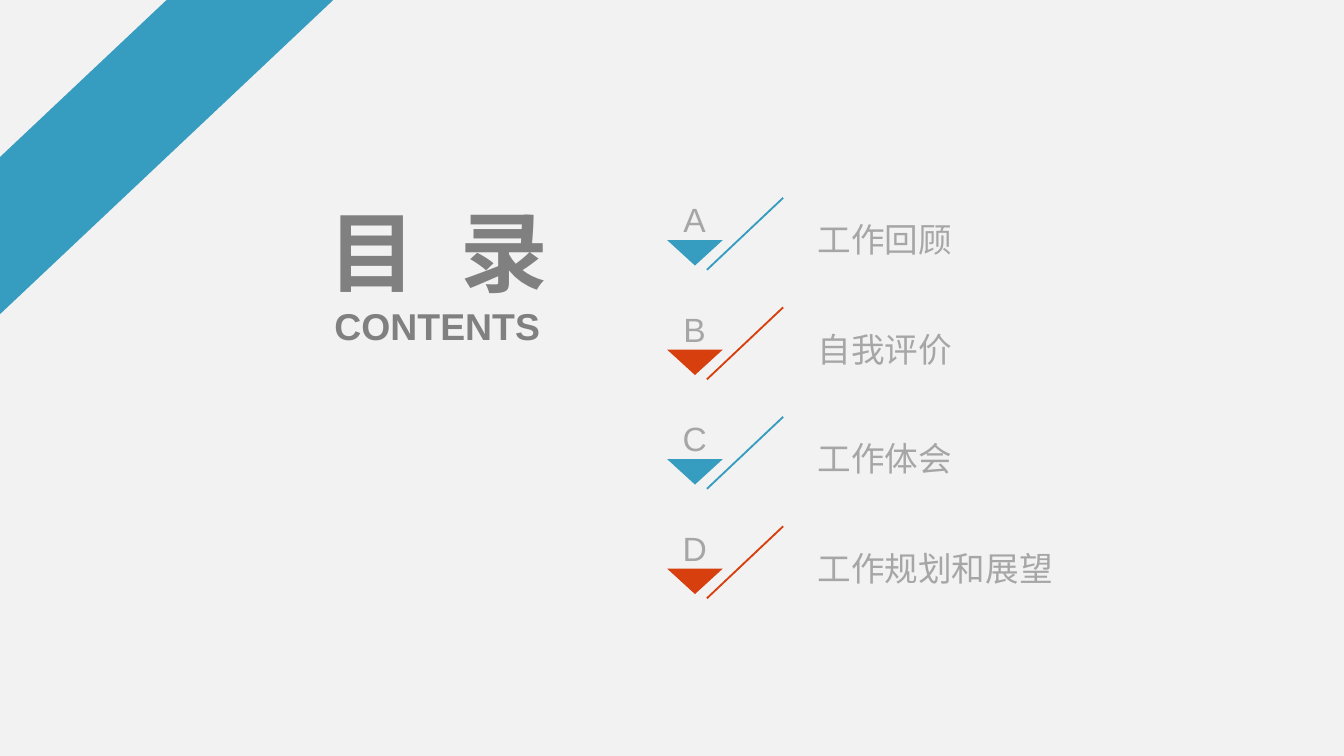
"""Build a contents slide with four lettered agenda entries."""
import dataclasses
import typing

import pptx
import pptx.dml.color
import pptx.enum.shapes
import pptx.enum.text
import pptx.oxml
import pptx.oxml.ns
import pptx.util

Cm = pptx.util.Cm
Align = pptx.enum.text.PP_ALIGN
Anchor = pptx.enum.text.MSO_ANCHOR

BLUE, ORANGE = "369CC0", "D73F0F"
DARK_GRAY, LIGHT_GRAY, BACKGROUND = "808080", "A6A6A6", "F2F2F2"
ENTRY_PITCH = 2.07


@dataclasses.dataclass(frozen=True)
class Box:
    left: float
    top: float
    width: float
    height: float


@dataclasses.dataclass(frozen=True)
class TextStyle:
    size: int
    color: str
    bold: bool = False
    align: typing.Any = Align.CENTER
    anchor: typing.Any = Anchor.MIDDLE


@dataclasses.dataclass(frozen=True)
class Entry:
    letter: str
    label: str
    color: str


TITLE_STYLE = TextStyle(47, DARK_GRAY, bold=True)
SUBTITLE_STYLE = TextStyle(20, DARK_GRAY, bold=True, anchor=Anchor.TOP)
LABEL_STYLE = TextStyle(18, LIGHT_GRAY, align=Align.LEFT)
LETTER_STYLE = TextStyle(18, LIGHT_GRAY, anchor=Anchor.BOTTOM)

ENTRIES = [
    Entry("A", "工作回顾", BLUE),
    Entry("B", "自我评价", ORANGE),
    Entry("C", "工作体会", BLUE),
    Entry("D", "工作规划和展望", ORANGE),
]


def set_color(color_format: typing.Any, color: str) -> None:
    color_format.rgb = pptx.dml.color.RGBColor.from_string(color)


def fill_shape(shape: typing.Any, color: str) -> None:
    shape.shadow.inherit = False
    shape.fill.solid()
    set_color(shape.fill.fore_color, color)
    shape.line.fill.background()


def write_text(shape: typing.Any, box: Box, parts: list[str], style: TextStyle) -> None:
    shape.left, shape.top = Cm(box.left), Cm(box.top)
    shape.width, shape.height = Cm(box.width), Cm(box.height)
    frame = shape.text_frame
    frame.word_wrap = True
    frame.auto_size = pptx.enum.text.MSO_AUTO_SIZE.SHAPE_TO_FIT_TEXT
    frame.vertical_anchor = style.anchor
    frame.margin_left = frame.margin_right = frame.margin_top = frame.margin_bottom = 0
    paragraph = frame.paragraphs[0]
    paragraph.alignment = style.align
    for part in parts:
        run = paragraph.add_run()
        run.text = part
        run.font.name = "Arial"
        run.font.size = pptx.util.Pt(style.size)
        run.font.bold = style.bold
        set_color(run.font.color, style.color)


def add_text(shapes: typing.Any, box: Box, text: str, style: TextStyle) -> None:
    write_text(shapes.add_textbox(0, 0, 0, 0), box, [text], style)


def add_slash(shapes: typing.Any, top: float, color: str) -> None:
    connector = shapes.add_connector(
        pptx.enum.shapes.MSO_CONNECTOR.STRAIGHT,
        Cm(14.8), Cm(top), Cm(13.36), Cm(top + 1.36),
    )
    connector.line.width = pptx.util.Pt(1)
    set_color(connector.line.color, color)
    properties = connector.element.find(pptx.oxml.ns.qn("p:spPr"))
    namespace = pptx.oxml.ns.nsdecls("a")
    properties.append(pptx.oxml.parse_xml(f"<a:effectLst {namespace}/>"))


def add_triangle(shapes: typing.Any, top: float, color: str) -> None:
    left, width, height = 12.61, 1.05, 0.48
    builder = shapes.build_freeform(Cm(left), Cm(top))
    builder.add_line_segments([
        (Cm(left + width), Cm(top)),
        (Cm(left + width / 2), Cm(top + height)),
    ])
    fill_shape(builder.convert_to_shape(), color)


def add_entry(slide: typing.Any, entry: Entry, top: float) -> None:
    shapes = slide.shapes.add_group_shape().shapes
    add_text(shapes, Box(15.45, top + 0.4, 6.07, 0.76), entry.label, LABEL_STYLE)
    add_slash(shapes, top, entry.color)
    add_triangle(shapes, top + 0.8, entry.color)
    add_text(shapes, Box(12.57, top + 0.03, 1.12, 0.76), entry.letter, LETTER_STYLE)


def main() -> None:
    presentation = pptx.Presentation()
    presentation.slide_width, presentation.slide_height = Cm(25.4), Cm(14.29)
    slide = presentation.slides.add_slide(presentation.slide_layouts[5])
    slide.background.fill.solid()
    set_color(slide.background.fill.fore_color, BACKGROUND)

    title = slide.shapes.title
    write_text(title, Box(5.44, 3.73, 5.69, 2.01), ["目", " ", "录"], TITLE_STYLE)
    title.element.xpath(".//a:rPr")[1].set("spc", "1300")
    add_text(slide.shapes, Box(5.46, 5.74, 5.61, 0.86), "CONTENTS", SUBTITLE_STYLE)

    for index, entry in enumerate(ENTRIES):
        add_entry(slide, entry, 3.74 + index * ENTRY_PITCH)

    stripe = slide.shapes.add_shape(
        pptx.enum.shapes.MSO_SHAPE.DIAGONAL_STRIPE, 0, 0, Cm(6.3), Cm(5.94)
    )
    fill_shape(stripe, BLUE)
    presentation.save("out.pptx")


if __name__ == "__main__":
    main()
